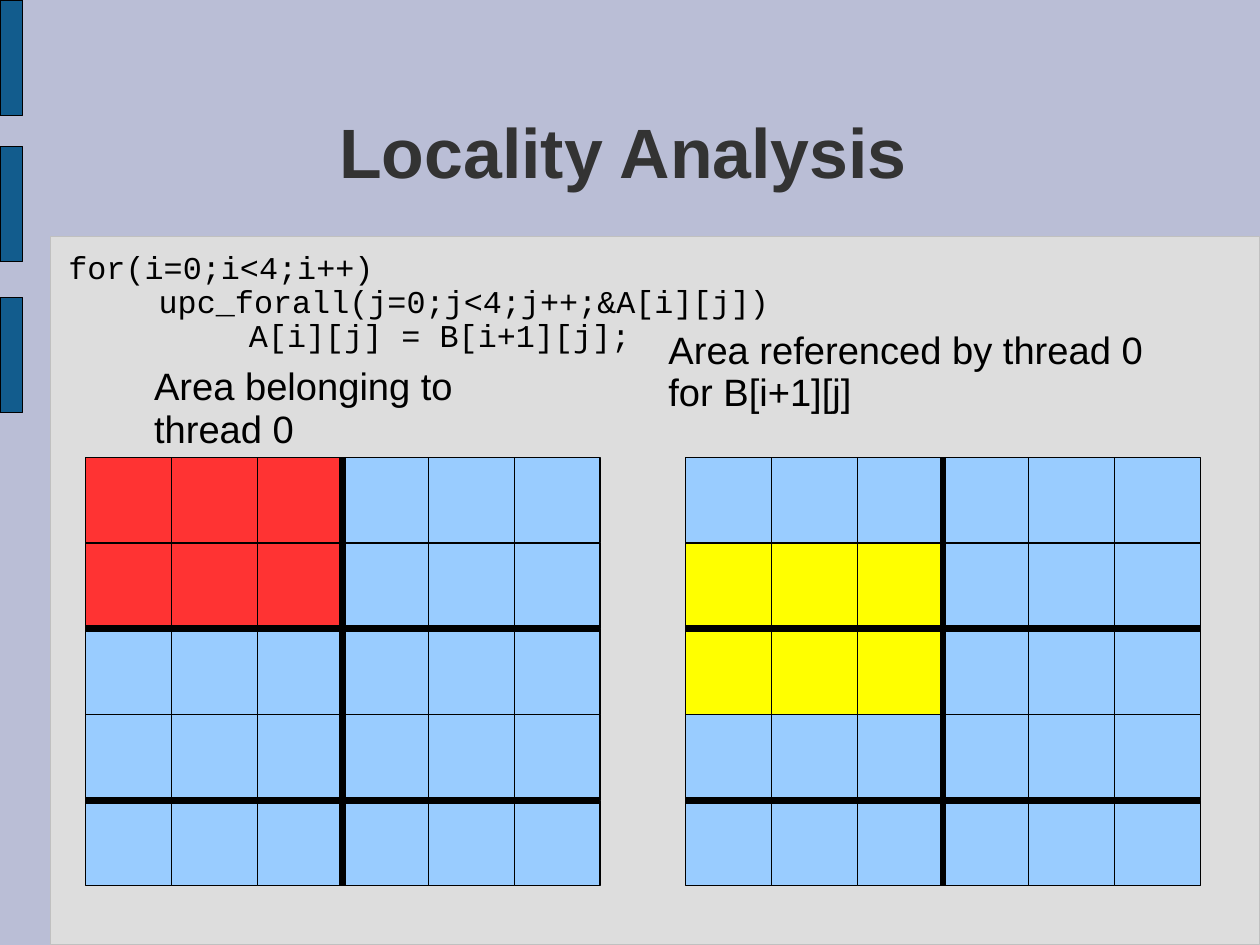
import itertools

import lxml.etree
import pptx
import pptx.dml.color
import pptx.enum.shapes
import pptx.enum.text
import pptx.oxml.ns
import pptx.util

UNIT = 0.25
SLIDE_WIDTH, SLIDE_HEIGHT = pptx.util.Cm(28), pptx.util.Cm(21)
MATRIX_COLS, MATRIX_ROWS = 6, 5
BLOCK_COLS, BLOCK_ROWS = 3, 2
BLUE, RED, YELLOW, BLACK = "99CCFF", "FF3333", "FFFF00", "000000"
CODE = ["for(i=0;i<4;i++)", "upc_forall(j=0;j<4;j++;&A[i][j])", "A[i][j] = B[i+1][j];"]


def color(hex_value):
    """Turn a hex string into a colour."""
    return pptx.dml.color.RGBColor.from_string(hex_value)


def grid(*counts):
    """Turn grid columns and rows into lengths."""
    return [pptx.util.Inches(count * UNIT) for count in counts]


def add_block(slide, box, fill, outline=BLACK):
    """Draw a filled rectangle with a thin outline."""
    block = slide.shapes.add_shape(pptx.enum.shapes.MSO_SHAPE.RECTANGLE, *grid(*box))
    block.shadow.inherit = False
    block.fill.solid()
    block.fill.fore_color.rgb = color(fill)
    block.line.color.rgb = color(outline)
    block.line.width = pptx.util.Pt(0.75)


def add_divider(slide, start, end):
    """Draw a thick line between two grid points."""
    divider = slide.shapes.add_connector(
        pptx.enum.shapes.MSO_CONNECTOR.STRAIGHT, *grid(*start, *end))
    divider.line.color.rgb = color(BLACK)
    divider.line.width = pptx.util.Pt(4.31)
    lxml.etree.SubElement(divider._element.spPr, pptx.oxml.ns.qn("a:effectLst"))


def add_text(slide, box, lines, size, spacing, font="Arial", ink=BLACK, bold=False,
             step=0, align=pptx.enum.text.PP_ALIGN.LEFT,
             anchor=pptx.enum.text.MSO_ANCHOR.TOP):
    """Write lines in a box, each indented one step more than the last."""
    frame = slide.shapes.add_textbox(*grid(*box)).text_frame
    frame.word_wrap = True
    frame.vertical_anchor = anchor
    for level, line in enumerate(lines):
        paragraph = frame.paragraphs[0] if level == 0 else frame.add_paragraph()
        if step:
            paragraph._p.get_or_add_pPr().set("marL", str(pptx.util.Inches(step * level)))
        paragraph.alignment = align
        paragraph.line_spacing = spacing
        run = paragraph.add_run()
        run.text = line
        looks = {"name": font, "size": pptx.util.Pt(size), "bold": bold}
        for attribute, value in looks.items():
            setattr(run.font, attribute, value)
        run.font.color.rgb = color(ink)


def add_backdrop(slide, panel):
    """Paint the background, the content panel and the side bars."""
    slide.background.fill.solid()
    slide.background.fill.fore_color.rgb = color("BABED6")
    add_block(slide, panel, "DDDDDD", "C0C0C0")
    for bar_top in (0, 5.12, 10.4):
        add_block(slide, (0, bar_top, 0.8, 4.04), "125C8D")


def add_matrix(slide, box, marked_rows, marked_fill):
    """Draw a matrix split into thread blocks, with some rows of the first marked."""
    left, top, width, height = box
    cell_width, cell_height = width / MATRIX_COLS, height / MATRIX_ROWS
    for row, col in itertools.product(range(MATRIX_ROWS), range(MATRIX_COLS)):
        marked = row in marked_rows and col < BLOCK_COLS
        cell = (left + col * cell_width, top + row * cell_height, cell_width, cell_height)
        add_block(slide, cell, marked_fill if marked else BLUE)
    middle = left + BLOCK_COLS * cell_width
    add_divider(slide, (middle, top), (middle, top + height))
    for row in range(BLOCK_ROWS, MATRIX_ROWS, BLOCK_ROWS):
        level = top + row * cell_height
        add_divider(slide, (left, level), (left + width, level))


def main():
    """Build the locality analysis slide."""
    deck = pptx.Presentation()
    deck.slide_width, deck.slide_height = SLIDE_WIDTH, SLIDE_HEIGHT
    slide = deck.slides.add_slide(deck.slide_layouts[6])
    add_backdrop(slide, (1.76, 8.28, 42.32, 24.78))
    add_text(slide, (3, 2.88, 37.64, 5.12), ["Locality Analysis"], 44, 0.93,
             ink="333333", bold=True, align=pptx.enum.text.PP_ALIGN.CENTER,
             anchor=pptx.enum.text.MSO_ANCHOR.MIDDLE)
    add_matrix(slide, (3, 16, 18, 15), (0, 1), RED)
    add_matrix(slide, (24, 16, 18, 15), (1, 2), YELLOW)
    add_text(slide, (5, 12.64, 14, 3.36), ["Area belonging to thread 0"], 24, 0.93)
    add_text(slide, (23, 11.36, 18, 3.36),
             ["Area referenced by thread 0 for B[i+1][j]"], 24, 0.93)
    add_text(slide, (2, 8.64, 34, 6.36), CODE, 20, 0.89, font="Courier New", step=0.79)
    deck.save("out.pptx")


if __name__ == "__main__":
    main()
